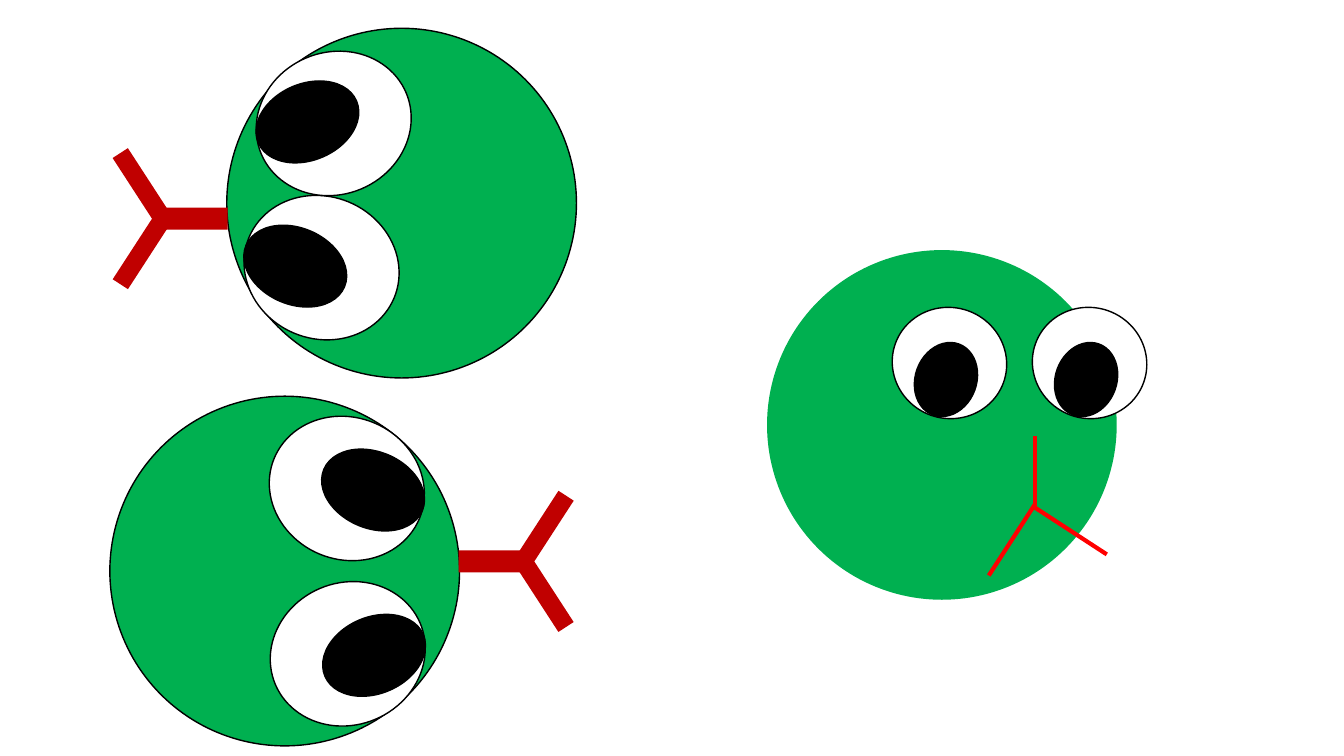
from lxml import etree
from pptx import Presentation
from pptx.dml.color import RGBColor
from pptx.enum.shapes import MSO_CONNECTOR as Connector, MSO_SHAPE as Shape
from pptx.oxml.ns import qn
from pptx.util import Pt

GREEN, WHITE, BLACK = "00B050", "FFFFFF", "000000"
DARK_RED, RED = "C00000", "FF0000"
HEAD_SIZE = 249.8
BLANK_LAYOUT = 6


def color(hex_code):
    return RGBColor.from_string(hex_code)


def add_part(shapes, kind, center, size, fill, outline=None, rotation=0):
    """Place a filled shape by its centre, in points."""
    (x, y), (width, height) = center, size
    part = shapes.add_shape(kind, Pt(x - width / 2), Pt(y - height / 2),
                            Pt(width), Pt(height))
    part.rotation = rotation % 360
    part.shadow.inherit = False
    part.fill.solid()
    part.fill.fore_color.rgb = color(fill)
    if outline:
        part.line.color.rgb = color(outline)
        part.line.width = Pt(1)
    else:
        part.line.fill.background()


def add_eye(shapes, center, eye_size, pupil_size, gaze, rotation):
    """Draw an eye with its pupil shifted by the gaze."""
    x, y = center
    pupil_center = (x + gaze[0], y + gaze[1])
    add_part(shapes, Shape.OVAL, center, eye_size, WHITE, BLACK, rotation)
    add_part(shapes, Shape.OVAL, pupil_center, pupil_size, BLACK, BLACK, rotation)


def add_tongue_line(shapes, start, end):
    tongue_line = shapes.add_connector(
        Connector.STRAIGHT, *(Pt(value) for value in (*start, *end)))
    tongue_line.line.color.rgb = color(RED)
    tongue_line.line.width = Pt(3)
    etree.SubElement(tongue_line._element.spPr, qn("a:effectLst"))


def add_front_snake(shapes, left, top, size):
    """Draw the snake that looks out of the slide."""
    x, y = left + size / 2, top + size / 2
    add_part(shapes, Shape.OVAL, (x, y), (size, size), GREEN, rotation=270)

    # Forked tongue
    for start, end in [((66.6, 8.3), (66.6, 59.4)),
                       ((66.6, 56.5), (33.5, 107.6)),
                       ((117.8, 92.5), (65.9, 58.7))]:
        add_tongue_line(shapes, (x + start[0], y + start[1]),
                        (x + end[0], y + end[1]))

    # Eyes
    for eye_dx in (5.4, 105.5):
        add_eye(shapes, (x + eye_dx, y - 44.2), (79.2, 82.1), (54, 43.9),
                (-2.5, 11.8), 290)


def add_profile_snake(shapes, left, top, size, facing, eyes, tongue_dy):
    """Draw a grouped snake in profile; facing is -1 for left, 1 for right."""
    snake = shapes.add_group_shape().shapes
    x, y = left + size / 2, top + size / 2
    turn = 180 if facing > 0 else 0
    add_part(snake, Shape.OVAL, (x, y), (size, size), GREEN, BLACK)

    # Eyes
    for eye_dx, eye_dy, tilt in eyes:
        add_eye(snake, (x + eye_dx, y + eye_dy), (112.3, 101.5), (76.3, 54.7),
                (facing * 18.8, facing * 1.1), tilt + turn)

    # Forked tongue
    stem_x, stem_y = x + facing * 148.3, y + tongue_dy
    add_part(snake, Shape.RECTANGLE, (stem_x, stem_y), (48.2, 15.8), DARK_RED)
    for side in (-1, 1):
        add_part(snake, Shape.RECTANGLE,
                 (stem_x + facing * 36, stem_y + side * 21.2), (13, 61.2),
                 DARK_RED, rotation=-facing * side * 33)


def main():
    deck = Presentation()
    deck.slide_width, deck.slide_height = Pt(960), Pt(540)
    shapes = deck.slides.add_slide(deck.slide_layouts[BLANK_LAYOUT]).shapes

    add_front_snake(shapes, 547.9, 178.6, HEAD_SIZE)
    add_profile_snake(shapes, 162, 20.2, HEAD_SIZE, facing=-1, tongue_dy=11.1,
                      eyes=[(-57.2, 46.1, 22.7), (-48.5, -56.9, -23)])
    add_profile_snake(shapes, 78.5, 283, HEAD_SIZE, facing=1, tongue_dy=-6.9,
                      eyes=[(44.3, -59, 22.7), (45, 59.1, -23)])
    deck.save("out.pptx")


if __name__ == "__main__":
    main()
